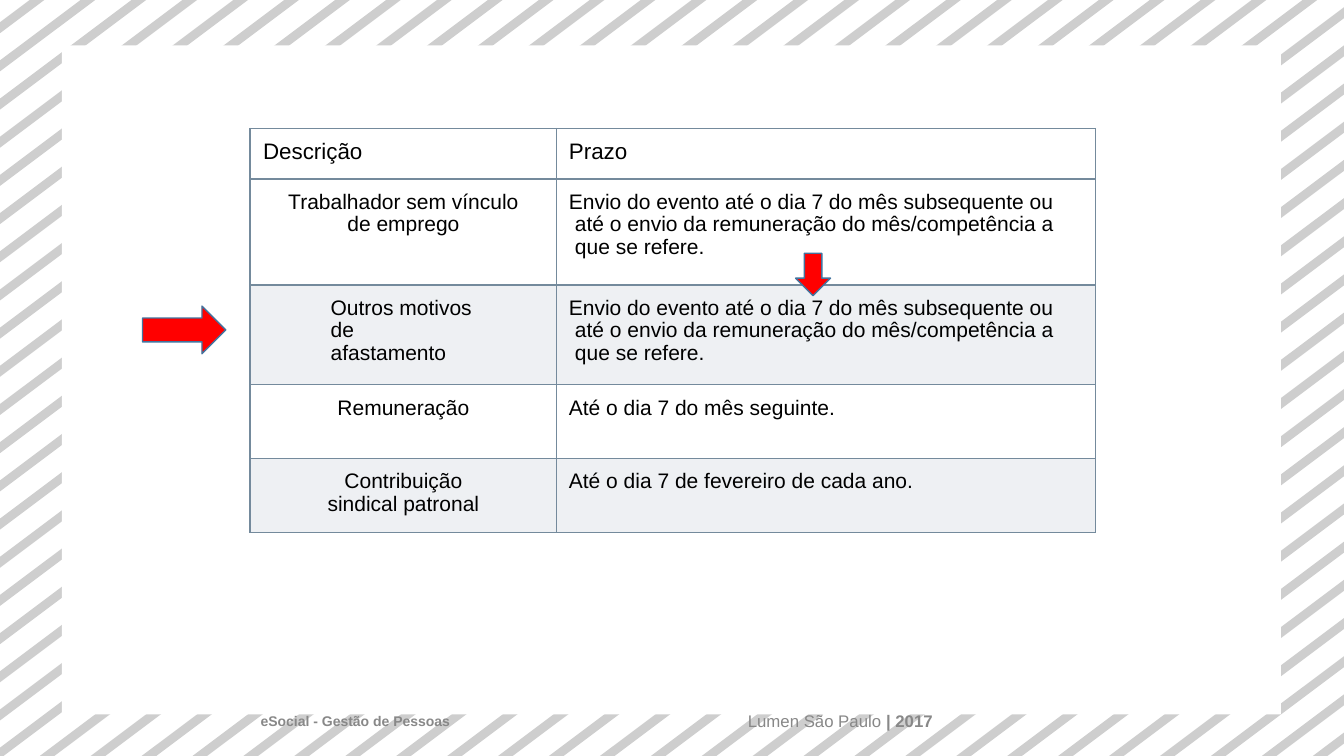
from lxml import etree
from pptx import Presentation
from pptx import util as u
from pptx.dml.color import RGBColor
from pptx.enum import shapes, text
from pptx.oxml import ns

WIDE, HIGH = 13.33, 7.5
HUES = {"stripe": "CECECE", "panel": "FFFFFF", "ink": "000000", "band": "ABB8C3",
        "rule": "748A9C", "foot": "888888", "arrow": "FF0000", "edge": "43739E"}
LEFT, MID = text.PP_ALIGN.LEFT, text.PP_ALIGN.CENTER
TERM = ("Envio do evento até o dia 7 do mês subsequente ou "
        "até o envio da remuneração do mês/competência a que se refere.")
# Label, its alignment, deadline
ROWS = [
    ("Descrição", LEFT, "Prazo"),
    ("Trabalhador sem vínculo\vde emprego", MID, TERM),
    ("Outros motivos\vde\vafastamento", LEFT, TERM),
    ("Remuneração", MID, "Até o dia 7 do mês seguinte."),
    ("Contribuição\vsindical patronal", MID, "Até o dia 7 de fevereiro de cada ano."),
]


def share(left, top, wide, high):
    """Turn shares of the slide into a box in inches."""
    return left * WIDE, top * HIGH, wide * WIDE, high * HIGH


def inches(box):
    return [u.Inches(side) for side in box]


def color(name):
    return RGBColor.from_string(HUES[name])


def paint(shape, fill, line=None):
    shape.shadow.inherit = False
    shape.fill.solid()
    shape.fill.fore_color.rgb = color(fill)
    if line:
        shape.line.color.rgb = color(line)
        shape.line.width = u.Pt(1)
    else:
        shape.line.fill.background()


def style(font, size, hue, bold=False):
    font.name, font.size, font.bold = "Arial", u.Pt(size), bold
    font.color.rgb = color(hue)


# Slanted stripes, each clipped to the box
def draw_stripes(slide, box, count=46, first=0.44, step=0.505, thick=0.145, slope=0.75):
    left, top, wide, high = box
    run = high / slope

    def ends(x):
        upper = (min(x, wide), max(0, (x - wide) * slope))
        lower = (max(0, x - run), min(high, x * slope))
        return upper, lower

    for i in range(count):
        far = first + i * step
        near = far - thick
        (up_a, low_a), (up_b, low_b) = ends(near), ends(far)
        corner = [(0, high)] if near < run < far else []
        spots = [(u.Inches(left + x), u.Inches(top + y))
                 for x, y in [up_b, up_a, low_a, *corner, low_b]]
        path = slide.shapes.build_freeform(*spots[0], scale=1.0)
        path.add_line_segments(spots[1:], close=True)
        paint(path.convert_to_shape(), "stripe")


def draw_shape(slide, box, kind, fill, line=None):
    paint(slide.shapes.add_shape(kind, *inches(box)), fill, line)


# Cell outline on all four sides, with an optional see-through band
def dress(cell, band):
    cell.fill.background()
    if band:
        cell.fill.solid()
        cell.fill.fore_color.rgb = color("band")
    props = cell._tc.get_or_add_tcPr()
    if band:
        tint = props.find(".//" + ns.qn("a:srgbClr"))
        etree.SubElement(tint, ns.qn("a:alpha"), val="20000")
    for i, side in enumerate(("lnL", "lnR", "lnT", "lnB")):
        rule = etree.Element(ns.qn("a:" + side), w=str(u.Pt(1)))
        solid = etree.SubElement(rule, ns.qn("a:solidFill"))
        etree.SubElement(solid, ns.qn("a:srgbClr"), val=HUES["rule"])
        props.insert(i, rule)


def fill_cell(cell, words, align, head, start, hang=0, right=0):
    cell.margin_left = cell.margin_bottom = 0
    cell.margin_right, cell.margin_top = u.Inches(right), u.Inches(0.11)
    cell.text_frame.text = words
    para = cell.text_frame.paragraphs[0]
    para.alignment = align
    if align == LEFT:
        props = para._p.get_or_add_pPr()
        props.set("marL", str(u.Inches(start + hang)))
        props.set("indent", str(-u.Inches(hang)))
    if not head:
        para.line_spacing = 0.96
    # Top inset also carries the lead above the first line
    cell.margin_top += u.Pt(0 if head else 1)
    for run in para.runs:
        style(run.font, 16 if head else 15, "ink")


# Table of deadlines
def draw_table(slide, box):
    wide, high = box[2:]
    table = slide.shapes.add_table(len(ROWS), 2, *inches(box)).table
    for col, part in zip(table.columns, (0.363, 0.637)):
        col.width = u.Inches(wide * part)
    for row, part in zip(table.rows, (0.125, 0.262, 0.247, 0.182, 0.184)):
        row.height = u.Inches(high * part)
    for i, (label, align, term) in enumerate(ROWS):
        head, band = i == 0, i in (2, 4)
        fill_cell(table.cell(i, 0), label, align, head, 0.13 if head else 0.8)
        fill_cell(table.cell(i, 1), term, LEFT, head, 0.12,
                  hang=0 if head else 0.06, right=0.36)
        for cell in table.rows[i].cells:
            dress(cell, band)


# Footer line: course on the left, school and year on the right
def draw_foot(slide, box):
    left, top, wide, high = box
    parts = [(0, 0.375, LEFT, 10, [("eSocial - Gestão de Pessoas", True)]),
             (0.4375, 0.5625, MID, 12, [("Lumen São Paulo ", False), ("| 2017", True)])]
    for start, part, align, size, bits in parts:
        spot = inches((left + wide * start, top, wide * part, high))
        frame = slide.shapes.add_textbox(*spot).text_frame
        frame.word_wrap = True
        frame.vertical_anchor = text.MSO_ANCHOR.MIDDLE
        frame.margin_left = frame.margin_right = frame.margin_top = frame.margin_bottom = 0
        para = frame.paragraphs[0]
        para.alignment = align
        for words, bold in bits:
            run = para.add_run()
            run.text = words
            style(run.font, size, "foot", bold)


def main():
    deck = Presentation()
    deck.slide_width, deck.slide_height = u.Inches(WIDE), u.Inches(HIGH)
    slide = deck.slides.add_slide(deck.slide_layouts[6])
    kinds = shapes.MSO_SHAPE
    draw_stripes(slide, share(0, 0, 1, 1))
    draw_shape(slide, share(0.046, 0.06, 0.907, 0.885), kinds.RECTANGLE, "panel")
    draw_table(slide, share(0.186, 0.17, 0.629, 0.535))
    draw_foot(slide, share(0.194, 0.94, 0.6, 0.027))
    # Arrows that point out the row and its deadline
    draw_shape(slide, share(0.106, 0.405, 0.062, 0.063), kinds.RIGHT_ARROW, "arrow", "edge")
    draw_shape(slide, share(0.592, 0.335, 0.026, 0.056), kinds.DOWN_ARROW, "arrow", "edge")
    deck.save("out.pptx")


if __name__ == "__main__":
    main()
